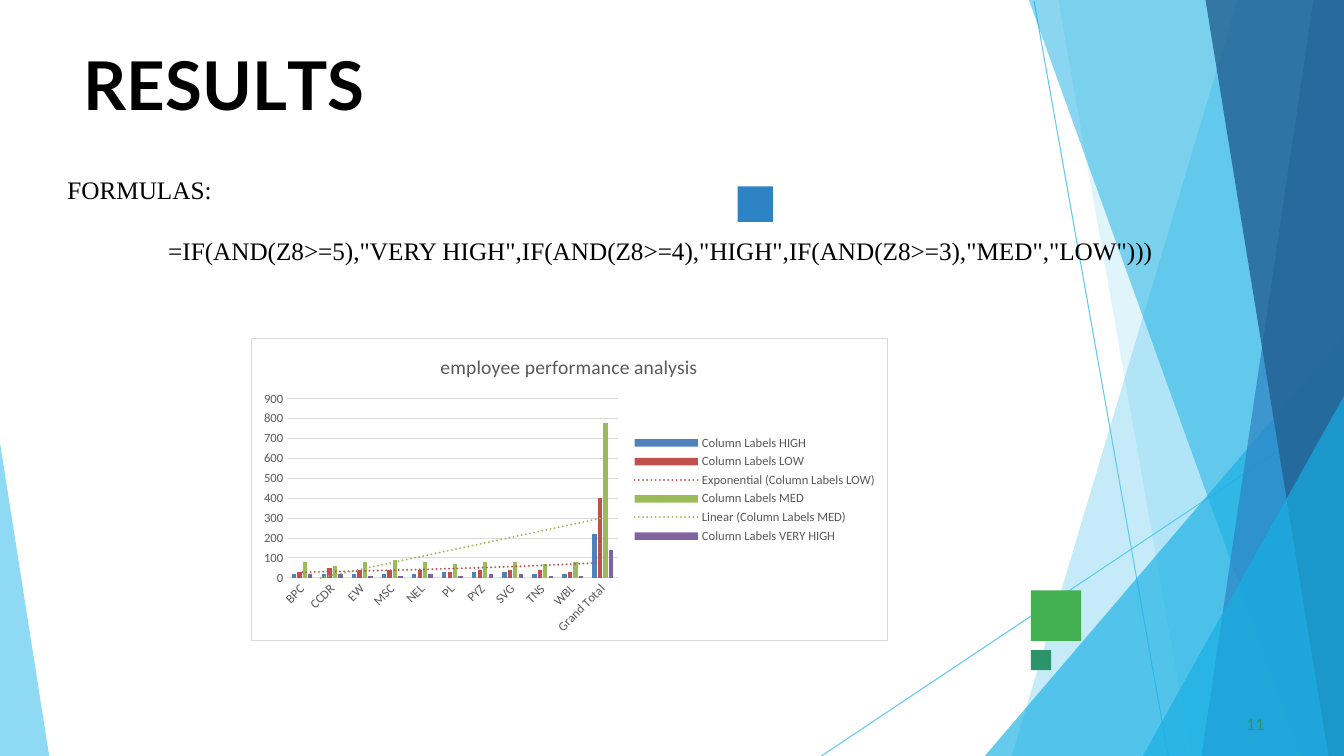
import pptx
import pptx.chart.data
import pptx.dml.color
import pptx.enum.chart
import pptx.enum.dml
import pptx.enum.shapes
import pptx.oxml
import pptx.oxml.ns
import pptx.util

Cm, Pt = pptx.util.Cm, pptx.util.Pt
RGB = pptx.dml.color.RGBColor
qn = pptx.oxml.ns.qn
nsdecls = pptx.oxml.ns.nsdecls

BLACK = RGB(0x00, 0x00, 0x00)
WHITE = RGB(0xFF, 0xFF, 0xFF)
GRAY = RGB(0x59, 0x59, 0x59)
GRID = RGB(0xD9, 0xD9, 0xD9)
SKY = RGB(0x5F, 0xCA, 0xEE)
CYAN = RGB(0x17, 0xAF, 0xE3)
BLUE = RGB(0x2D, 0x83, 0xC3)
NAVY = RGB(0x22, 0x61, 0x92)
GREEN = RGB(0x42, 0xAF, 0x51)
TEAL = RGB(0x2D, 0x93, 0x6B)
HIGH = RGB(0x4F, 0x81, 0xBD)
LOW = RGB(0xC0, 0x50, 0x4D)
MED = RGB(0x9B, 0xBB, 0x59)
VERY_HIGH = RGB(0x80, 0x64, 0xA2)

# Left edge at the top, top, left edge at the bottom, colour, opacity in percent
FACETS = [
    (10.49, 0, 4.80, SKY, 36),
    (5.97, 0, 9.32, SKY, 20),
    (13.17, 8.46, 4.12, CYAN, 66),
    (5.23, 0, 12.09, CYAN, 50),
    (12.40, 0, 9.58, BLUE, 70),
    (9.68, 0, 12.78, NAVY, 80),
    (13.17, 9.98, 8.10, CYAN, 66),
]
TITLE_SPACING = [("R", 0), ("E", -40), ("S", 10), ("U", -30), ("L", -400), ("TS", 0)]
FORMULA = '=IF(AND(Z8>=5),"VERY HIGH",IF(AND(Z8>=4),"HIGH",IF(AND(Z8>=3),"MED","LOW")))'

CATEGORIES = ["BPC", "CCDR", "EW", "MSC", "NEL", "PL", "PYZ", "SVG", "TNS", "WBL",
              "Grand Total"]
# Name, colour, trend type, values
SERIES = [
    ("HIGH", HIGH, None, [20, 20, 20, 20, 20, 30, 30, 30, 20, 20, 220]),
    ("LOW", LOW, "exp", [30, 50, 40, 40, 40, 30, 40, 40, 40, 30, 400]),
    ("MED", MED, "linear", [80, 60, 80, 90, 80, 70, 80, 80, 70, 80, 780]),
    ("VERY HIGH", VERY_HIGH, None, [20, 20, 10, 10, 20, 10, 20, 20, 10, 10, 140]),
]


def set_format(obj, **values):
    for name, value in values.items():
        setattr(obj, name, value)


def set_font(font, color, **values):
    set_format(font, **values)
    font.color.rgb = color


def paint(s, color, opacity=100):
    s.shadow.inherit = False
    s.line.fill.background()
    s.fill.solid()
    s.fill.fore_color.rgb = color
    if opacity < 100:
        clr = s.fill._xPr.find(qn("a:solidFill"))[0]
        clr.append(pptx.oxml.parse_xml(
            f'<a:alpha {nsdecls("a")} val="{opacity * 1000}"/>'))


def add_facet(slide, points, color, opacity):
    points = [(Cm(x), Cm(y)) for x, y in points]
    builder = slide.shapes.build_freeform(*points[0], scale=1.0)
    builder.add_line_segments(points[1:], close=True)
    paint(builder.convert_to_shape(), color, opacity)


def add_text_box(slide, left, top, width, height):
    s = slide.shapes.add_textbox(Cm(left), Cm(top), Cm(width), Cm(height))
    tf = s.text_frame
    set_format(tf, word_wrap=True, margin_left=0, margin_top=0,
               margin_right=0, margin_bottom=0)
    return tf


def add_right_panel(slide, left, top, width, height):
    right, bottom = left + width, top + height
    # Thin crossing lines
    for x1, y1, x2, y2 in [(5.36, 0.03, 8.74, height), (width, 10.26, 0, height)]:
        s = slide.shapes.add_connector(
            pptx.enum.shapes.MSO_CONNECTOR.STRAIGHT,
            Cm(left + x1), Cm(top + y1), Cm(left + x2), Cm(top + y2))
        s.line.color.rgb = SKY
        s.line.width = Pt(0.75)
        s._element.spPr.append(pptx.oxml.parse_xml(f'<a:effectLst {nsdecls("a")}/>'))
    # Facets that share the right edge
    for x_top, y, x_bottom, color, opacity in FACETS:
        points = [(right, top + y), (left + x_bottom, bottom), (right, bottom)]
        if x_top < width:
            points.insert(1, (left + x_top, top + y))
        add_facet(slide, points, color, opacity)


def add_left_wedge(slide, left, top, width, height):
    add_facet(slide, [(left, top), (left, top + height), (left + width, top + height)],
              SKY, 70)


def add_square(slide, left, top, size, color):
    s = slide.shapes.add_shape(pptx.enum.shapes.MSO_SHAPE.RECTANGLE,
                               Cm(left), Cm(top), Cm(size), Cm(size))
    paint(s, color)


def add_title(slide, left, top, width, height):
    tf = add_text_box(slide, left, top, width, height)
    tf.margin_top = Cm(0.03)
    p = tf.paragraphs[0]
    for text, spacing in TITLE_SPACING:
        r = p.add_run()
        r.text = text
        set_font(r.font, BLACK, name="Lato", size=Pt(48), bold=True)
        r.font._element.set("spc", str(spacing))


def add_formulas(slide, left, top, width, height):
    tf = add_text_box(slide, left, top, width, height)
    label, formula = tf.paragraphs[0], tf.add_paragraph()
    for p, text in [(label, "FORMULAS:"), (formula, FORMULA)]:
        r = p.add_run()
        r.text = text
        set_font(r.font, BLACK, name="Times New Roman", size=Pt(18))
    formula.space_before = Pt(22)
    formula._p.get_or_add_pPr().set("marL", str(Cm(2.54)))


def add_page_number(slide, left, top, width, height):
    tf = add_text_box(slide, left, top, width, height)
    set_format(tf, margin_left=Cm(0.1), margin_top=Cm(0.03))
    r = tf.paragraphs[0].add_run()
    r.text = "11"
    set_font(r.font, TEAL, name="Lato", size=Pt(11))


def add_trend(series, kind, color):
    trend = pptx.oxml.parse_xml(
        f'<c:trendline {nsdecls("c", "a")}><c:spPr><a:ln w="19050" cap="rnd">'
        f'<a:solidFill><a:srgbClr val="{color}"/></a:solidFill>'
        f'<a:prstDash val="sysDot"/></a:ln></c:spPr>'
        f'<c:trendlineType val="{kind}"/><c:dispRSqr val="0"/><c:dispEq val="0"/>'
        f'</c:trendline>')
    series._element.find(qn("c:cat")).addprevious(trend)


def add_performance_chart(slide, left, top, width, height):
    data = pptx.chart.data.CategoryChartData()
    data.categories = CATEGORIES
    for name, _, _, values in SERIES:
        data.add_series(f"Column Labels {name}", values)
    chart = slide.shapes.add_chart(
        pptx.enum.chart.XL_CHART_TYPE.COLUMN_CLUSTERED,
        Cm(left), Cm(top), Cm(width), Cm(height), data).chart
    set_font(chart.font, BLACK, name="Calibri", size=Pt(10))

    # Title and legend
    chart.has_title = True
    p = chart.chart_title.text_frame.paragraphs[0]
    r = p.add_run()
    r.text = "employee performance analysis"
    set_font(r.font, GRAY, name="Calibri", size=Pt(14), bold=False)
    chart.has_legend = True
    set_format(chart.legend, include_in_layout=False,
               position=pptx.enum.chart.XL_LEGEND_POSITION.RIGHT)

    # Columns and trend lines
    plot = chart.plots[0]
    set_format(plot, gap_width=219, overlap=-27, vary_by_categories=False)
    for series, (_, color, trend, _) in zip(plot.series, SERIES):
        series.format.fill.solid()
        series.format.fill.fore_color.rgb = color
        if trend:
            add_trend(series, trend, color)

    # Axes
    cat, val = chart.category_axis, chart.value_axis
    for part in (cat.tick_labels, val.tick_labels, chart.legend):
        set_font(part.font, GRAY, name="Calibri", size=Pt(9))
    for axis in (cat, val):
        axis.major_tick_mark = pptx.enum.chart.XL_TICK_MARK.NONE
    set_format(val, minimum_scale=0, maximum_scale=900, major_unit=100)
    val.format.line.fill.background()
    for line in (cat.format.line, val.major_gridlines.format.line):
        line.color.rgb = GRID
        line.width = Pt(0.75)
    cat._element.find(qn("c:txPr")).find(qn("a:bodyPr")).set("rot", "-2700000")

    # Chart area
    chart.element.find(qn("c:chart")).addnext(pptx.oxml.parse_xml(
        f'<c:spPr {nsdecls("c", "a")}>'
        f'<a:solidFill><a:srgbClr val="{WHITE}"/></a:solidFill><a:ln w="9525">'
        f'<a:solidFill><a:srgbClr val="{GRID}"/></a:solidFill></a:ln></c:spPr>'))


def main():
    prs = pptx.Presentation()
    set_format(prs, slide_width=Cm(33.87), slide_height=Cm(19.05))
    slide = prs.slides.add_slide(prs.slide_layouts[6])
    add_right_panel(slide, 20.70, 0, 13.17, 19.05)
    add_left_wedge(slide, 0, 11.15, 1.24, 7.90)
    add_square(slide, 25.98, 14.88, 1.27, GREEN)
    add_square(slide, 18.59, 4.70, 0.89, BLUE)
    add_square(slide, 25.98, 16.38, 0.51, TEAL)
    add_title(slide, 2.11, 1.07, 29.67, 2.11)
    add_formulas(slide, 1.70, 4.39, 30.48, 2.24)
    add_page_number(slide, 31.32, 17.98, 0.64, 0.53)
    add_performance_chart(slide, 6.32, 8.51, 16.05, 7.65)
    prs.save("out.pptx")


if __name__ == "__main__":
    main()
